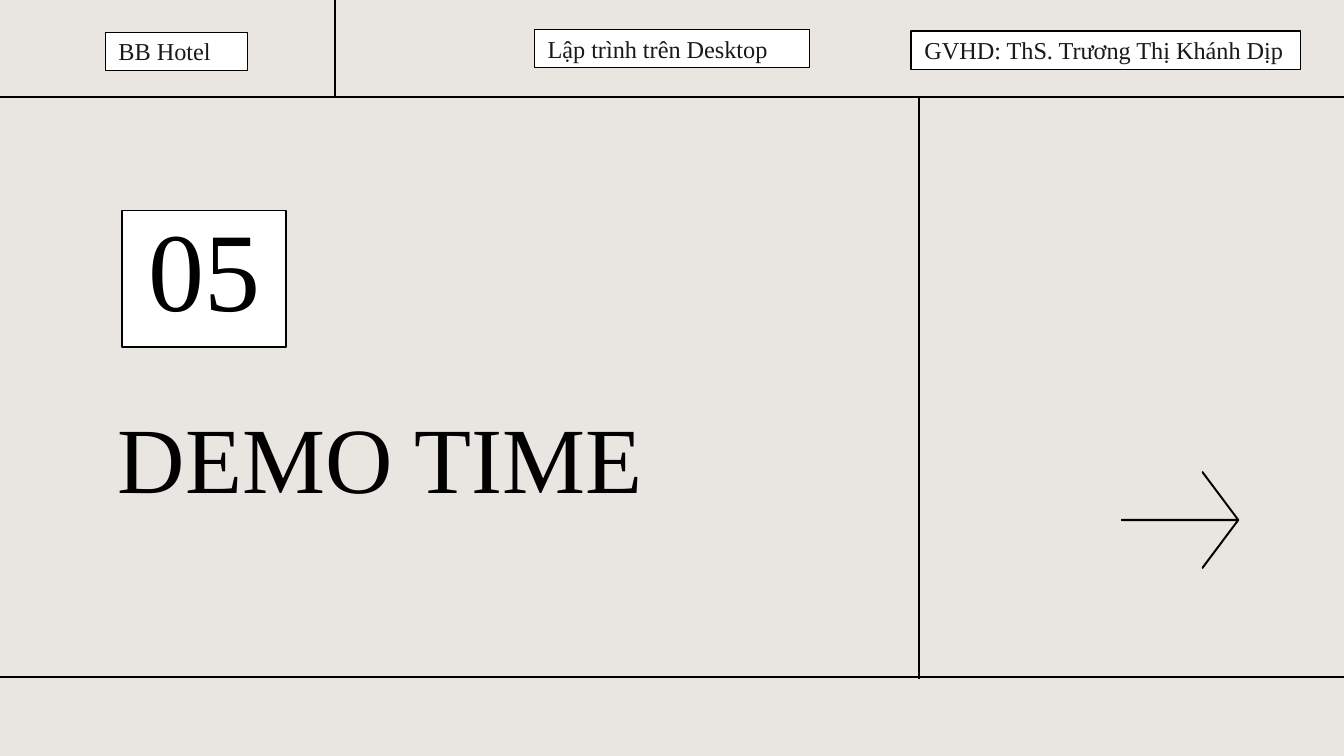
from dataclasses import dataclass

from lxml.etree import SubElement
from pptx import Presentation
from pptx.dml.color import RGBColor
from pptx.enum.shapes import MSO_CONNECTOR, MSO_SHAPE
from pptx.enum.text import MSO_ANCHOR, MSO_AUTO_SIZE, PP_ALIGN
from pptx.oxml.ns import qn
from pptx.util import Cm, Pt


@dataclass(frozen=True)
class Theme:
    font: str = "Times New Roman"
    background: RGBColor = RGBColor(0xE9, 0xE6, 0xE2)
    panel: RGBColor = RGBColor(0xFF, 0xFF, 0xFF)
    ink: RGBColor = RGBColor(0, 0, 0)
    label_ink: RGBColor = RGBColor(0x19, 0x19, 0x19)
    label_size: int = 13
    title_size: int = 50
    number_size: int = 60
    rule_width: float = 0.75


def apply_format(target, values):
    for name, value in values.items():
        setattr(target, name, value)


class SectionSlide:
    def __init__(self, deck, theme):
        self.theme = theme
        self.slide = deck.slides.add_slide(deck.slide_layouts[5])
        self.shapes = self.slide.shapes
        fill = self.slide.background.fill
        fill.solid()
        fill.fore_color.rgb = theme.background

    def set_text(self, shape, text, size, color, anchor, align=PP_ALIGN.LEFT, inset_top=0.25):
        frame = shape.text_frame
        apply_format(frame, {
            "text": text,
            "word_wrap": True,
            "auto_size": MSO_AUTO_SIZE.NONE,
            "vertical_anchor": anchor,
            "margin_left": Cm(0.25),
            "margin_right": Cm(0.25),
            "margin_top": Cm(inset_top),
            "margin_bottom": Cm(0.25),
        })
        paragraph = frame.paragraphs[0]
        paragraph.alignment = align
        font = paragraph.runs[0].font
        apply_format(font, {"name": self.theme.font, "size": Pt(size)})
        font.color.rgb = color

    def outline(self, shape, fill_color):
        shape.shadow.inherit = False
        shape.fill.solid()
        shape.fill.fore_color.rgb = fill_color
        shape.line.color.rgb = self.theme.ink
        shape.line.width = Pt(self.theme.rule_width)

    def title(self, text, left, top, width, height):
        heading = self.shapes.title
        apply_format(heading, {
            "left": Cm(left), "top": Cm(top),
            "width": Cm(width), "height": Cm(height),
        })
        self.set_text(heading, text, self.theme.title_size, self.theme.ink,
                      MSO_ANCHOR.TOP, inset_top=0.46)

    def panel(self, left, top, width, height):
        box = self.shapes.add_shape(
            MSO_SHAPE.RECTANGLE, Cm(left), Cm(top), Cm(width), Cm(height))
        self.outline(box, self.theme.panel)
        return box

    def label(self, text, left, top, width):
        self.set_text(self.panel(left, top, width, 0.72), text,
                      self.theme.label_size, self.theme.label_ink, MSO_ANCHOR.MIDDLE)

    def number(self, text, left, top, width, height):
        self.set_text(self.panel(left, top, width, height), text,
                      self.theme.number_size, self.theme.ink,
                      MSO_ANCHOR.BOTTOM, PP_ALIGN.CENTER)

    def rule(self, x1, y1, x2, y2):
        line = self.shapes.add_connector(
            MSO_CONNECTOR.STRAIGHT, Cm(x1), Cm(y1), Cm(x2), Cm(y2))
        line.line.color.rgb = self.theme.ink
        line.line.width = Pt(self.theme.rule_width)
        SubElement(line._element.spPr, qn("a:effectLst"))

    def arrow(self, left, middle, width, half_height, head_length):
        tip = left + width
        barb = tip - head_length
        upper = [(barb, -half_height), (barb, 0.02 - half_height),
                 (tip - 0.02, -0.01), (left, -0.01)]
        lower = [(x, -y) for x, y in reversed(upper)]
        points = [(Cm(x), Cm(middle + y)) for x, y in upper + lower + [(tip, 0)]]
        builder = self.shapes.build_freeform(*points[0], scale=1.0)
        builder.add_line_segments(points[1:], close=True)
        self.outline(builder.convert_to_shape(), self.theme.ink)


def main():
    deck = Presentation()
    page_width = 25.4
    apply_format(deck, {"slide_width": Cm(page_width), "slide_height": Cm(14.29)})
    section = SectionSlide(deck, Theme())
    header_y, footer_y = 1.83, 12.8

    section.title("DEMO TIME", 1.98, 7.11, 11.58, 4.67)
    section.number("05", 2.31, 3.98, 3.1, 2.58)
    for y in (footer_y, header_y):
        section.rule(0, y, page_width, y)
    section.arrow(21.2, 9.83, 2.21, 0.91, 0.68)
    section.rule(17.37, header_y, 17.37, footer_y + 0.04)
    section.rule(6.33, 0, 6.33, header_y)

    for text, left, top, width in (
        ("BB Hotel", 1.99, 0.61, 2.69),
        ("GVHD: ThS. Trương Thị Khánh Dịp", 17.22, 0.59, 7.36),
        ("Lập trình trên Desktop", 10.1, 0.56, 5.2),
    ):
        section.label(text, left, top, width)

    deck.save("out.pptx")


if __name__ == "__main__":
    main()
